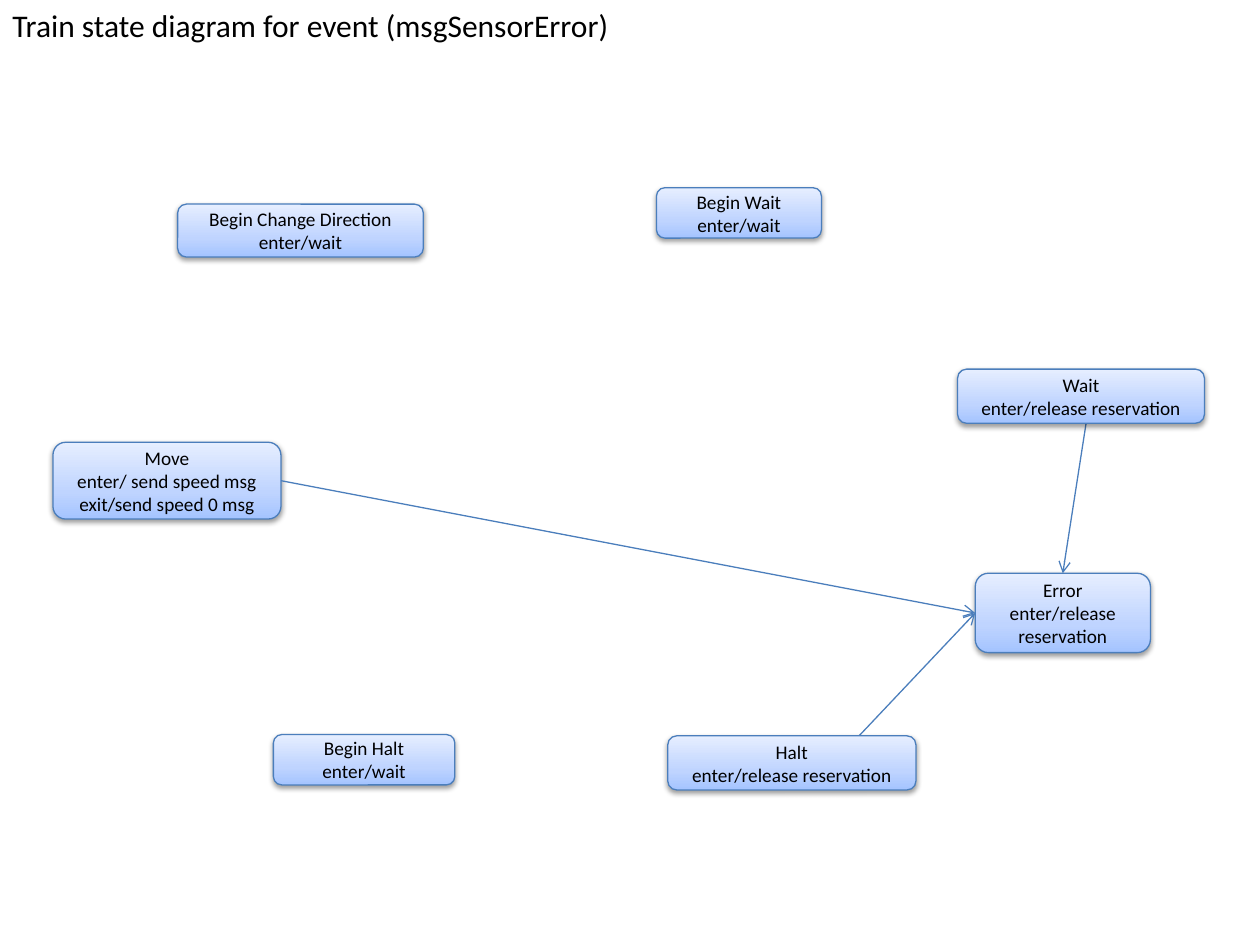
from dataclasses import dataclass

from lxml import etree
from pptx import Presentation
from pptx.dml.color import RGBColor
from pptx.enum.shapes import MSO_CONNECTOR as Connector, MSO_SHAPE as Shape
from pptx.enum.text import MSO_ANCHOR as Anchor, MSO_AUTO_SIZE as AutoSize, PP_ALIGN as Align
from pptx.oxml import parse_xml
from pptx.oxml.ns import nsdecls, qn
from pptx.util import Inches, Pt


@dataclass(frozen=True)
class Theme:
    font: str = "Calibri"
    text: str = "000000"
    line: str = "4B7EBC"
    line_width: float = 0.75
    gradient: tuple = ((0, "A4C4FF"), (35, "BFD4FF"), (100, "E6EEFF"))
    gradient_angle: int = 270
    shadow: str = "000000"
    shadow_alpha: int = 38
    shadow_blur: float = 3.1
    shadow_distance: float = 1.6
    title_size: int = 18
    state_size: int = 11


THEME = Theme()
TOP, LEFT, BOTTOM, RIGHT = range(4)

TITLE = "Train state diagram for event (msgSensorError)"
MAIN_STATES = {
    "Move": ((0.42, 3.51, 1.81, 0.61), ("enter/ send speed msg", "exit/send speed 0 msg")),
    "Error": ((7.74, 4.55, 1.39, 0.63), ("enter/release reservation",)),
}
OTHER_STATES = {
    "Wait": ((7.6, 2.93, 1.96, 0.43), ("enter/release reservation",)),
    "Halt": ((5.3, 5.84, 1.97, 0.43), ("enter/release reservation",)),
    "Begin Wait": ((5.21, 1.49, 1.31, 0.4), ("enter/wait",)),
    "Begin Change Direction": ((1.41, 1.62, 1.95, 0.42), ("enter/wait",)),
    "Begin Halt": ((2.17, 5.83, 1.44, 0.4), ("enter/wait",)),
}


def write_text(frame, lines, size, align=Align.LEFT, anchor=Anchor.TOP, wrap=True):
    frame.word_wrap = wrap
    frame.vertical_anchor = anchor
    for index, line in enumerate(lines):
        para = frame.add_paragraph() if index else frame.paragraphs[0]
        para.alignment = align
        span = para.add_run()
        span.text = line
        span.font.name = THEME.font
        span.font.size = Pt(size)
        span.font.color.rgb = RGBColor.from_string(THEME.text)


def style_line(line):
    line.color.rgb = RGBColor.from_string(THEME.line)
    line.width = Pt(THEME.line_width)


def fill_gradient(shape):
    stops = "".join(
        f'<a:gs pos="{position * 1000}"><a:srgbClr val="{color}"/></a:gs>'
        for position, color in THEME.gradient
    )
    gradient = parse_xml(
        f'<a:gradFill {nsdecls("a")} rotWithShape="1"><a:gsLst>{stops}</a:gsLst>'
        f'<a:lin ang="{THEME.gradient_angle * 60000}" scaled="0"/></a:gradFill>'
    )
    shape.element.spPr.find(qn("a:prstGeom")).addnext(gradient)


def add_shadow(shape):
    shape.shadow.inherit = False
    effects = shape.element.spPr.find(qn("a:effectLst"))
    effects.append(parse_xml(
        f'<a:outerShdw {nsdecls("a")} blurRad="{Pt(THEME.shadow_blur)}" '
        f'dist="{Pt(THEME.shadow_distance)}" dir="5400000" rotWithShape="0">'
        f'<a:srgbClr val="{THEME.shadow}"><a:alpha val="{THEME.shadow_alpha * 1000}"/>'
        f'</a:srgbClr></a:outerShdw>'
    ))


def add_title(page, box):
    title = page.shapes.add_textbox(*map(Inches, box))
    write_text(title.text_frame, [TITLE], THEME.title_size, wrap=False)
    title.text_frame.auto_size = AutoSize.SHAPE_TO_FIT_TEXT


def add_state(page, box, name, actions):
    state = page.shapes.add_shape(Shape.ROUNDED_RECTANGLE, *map(Inches, box))
    fill_gradient(state)
    style_line(state.line)
    add_shadow(state)
    write_text(state.text_frame, [name, *actions], THEME.state_size,
               align=Align.CENTER, anchor=Anchor.MIDDLE)
    return state


def add_states(page, states):
    return {
        name: add_state(page, box, name, actions)
        for name, (box, actions) in states.items()
    }


def add_transition(page, start, target, side):
    arrow = page.shapes.add_connector(Connector.STRAIGHT, *map(Inches, start + start))
    arrow.end_connect(target, side)
    style_line(arrow.line)
    head = etree.SubElement(arrow.line._get_or_add_ln(), qn("a:tailEnd"))
    head.set("type", "arrow")
    etree.SubElement(arrow.element.spPr, qn("a:effectLst"))
    return arrow


def add_diagram(page):
    main = add_states(page, MAIN_STATES)
    move, error = main["Move"], main["Error"]
    add_transition(page, (8.62, 3.36), error, TOP)
    add_transition(page, (6.62, 6.05), error, LEFT)
    add_transition(page, (2.23, 3.81), error, LEFT).begin_connect(move, RIGHT)
    add_states(page, OTHER_STATES)


def main():
    deck = Presentation()
    deck.slide_width, deck.slide_height = Inches(10), Inches(7.5)
    page = deck.slides.add_slide(deck.slide_layouts[6])
    add_title(page, (0, 0, 5.04, 0.4))
    add_diagram(page)
    deck.save("out.pptx")


if __name__ == "__main__":
    main()
